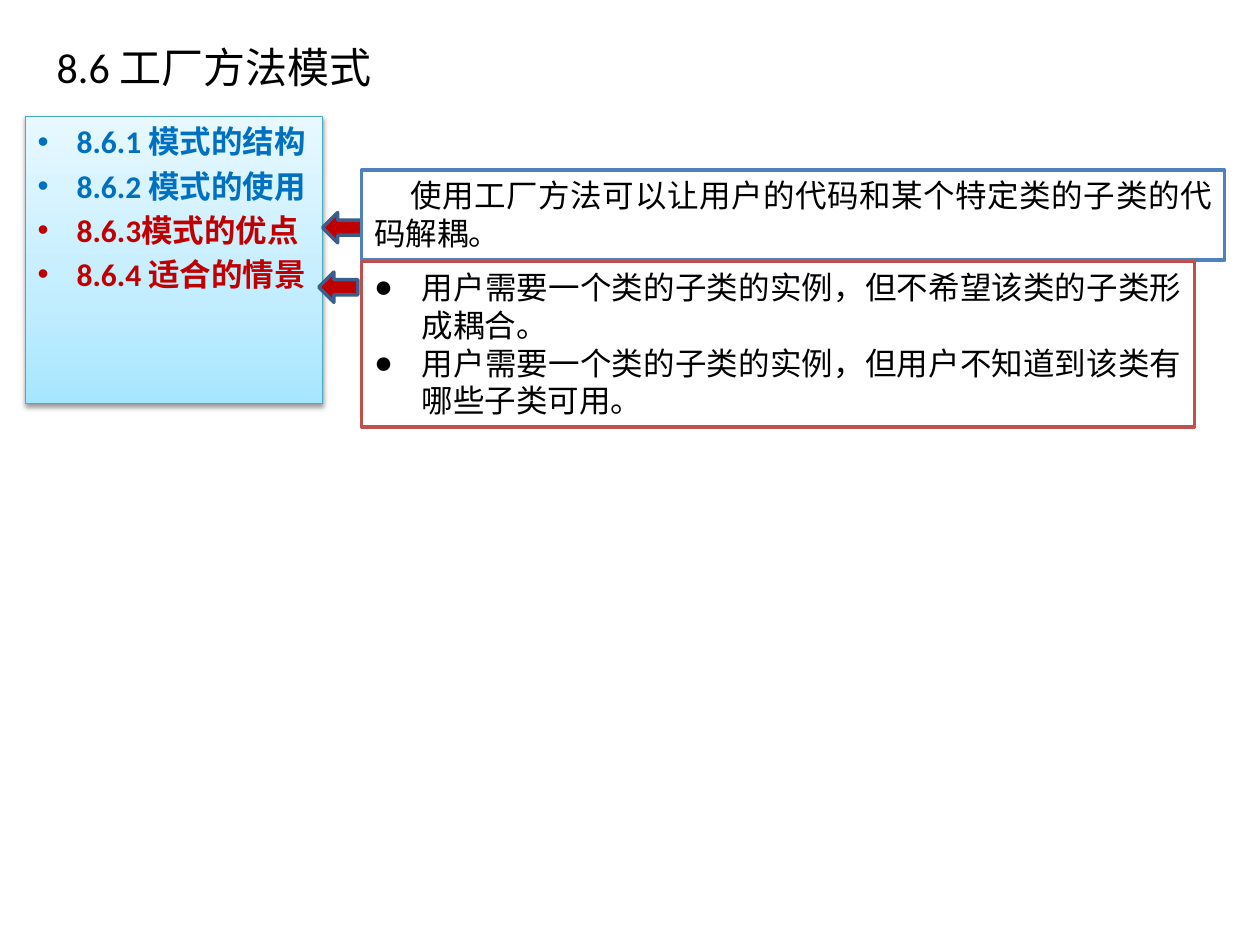
from copy import deepcopy

from pptx import Presentation
from pptx import util as u
from pptx.dml.color import RGBColor
from pptx.enum import shapes, text
from pptx.oxml.ns import qn
from lxml import etree

WIDTH, HEIGHT = 10, 7.5
COLORS = {
    "black": "000000", "white": "FFFFFF", "topic blue": "0070C0", "topic red": "C00000",
    "arrow line": "3A5F8C", "blue line": "4F81BD", "red line": "C0504D", "panel line": "46AAC5",
}
PANEL_GRADIENT = [(0, "A7E6FF"), (0.35, "C1EDFF"), (1, "E7F8FF")]
TOPICS = [
    ("8.6.1 模式的结构", "topic blue"), ("8.6.2 模式的使用", "topic blue"),
    ("8.6.3模式的优点", "topic red"), ("8.6.4 适合的情景", "topic red"),
]
ADVANTAGE = "使用工厂方法可以让用户的代码和某个特定类的子类的代码解耦。"
SITUATIONS = [
    "用户需要一个类的子类的实例，但不希望该类的子类形成耦合。",
    "用户需要一个类的子类的实例，但用户不知道到该类有哪些子类可用。",
]
# Boxes as left, top, width, height in shares of the slide
TITLE_BOX = (0.035, 0.027, 0.307, 0.077)
PANEL_BOX = (0.02, 0.123, 0.236, 0.304)
ADVANTAGE_BOX = (0.287, 0.18, 0.685, 0.095)
SITUATION_BOX = (0.287, 0.277, 0.661, 0.175)
ARROW_BOXES = [(0.256, 0.225, 0.031, 0.032), (0.253, 0.288, 0.031, 0.032)]


def rgb(name):
    return RGBColor.from_string(COLORS[name])


def place(box):
    left, top, width, height = box
    return [u.Inches(share * side) for share, side in
            zip((left, top, width, height), (WIDTH, HEIGHT) * 2)]


def add_block(slide, kind, box, line, weight, fill="white"):
    shape = slide.shapes.add_shape(kind, *place(box))
    shape.shadow.inherit = False
    shape.fill.solid()
    shape.fill.fore_color.rgb = rgb(fill)
    shape.line.color.rgb = rgb(line)
    shape.line.width = u.Pt(weight)
    shape.text_frame.word_wrap = True
    shape.text_frame.vertical_anchor = text.MSO_ANCHOR.TOP
    return shape


def set_indent(paragraph, margin, first, bullet=None, tab=None):
    properties = paragraph._p.get_or_add_pPr()
    properties.set("marL", str(u.Inches(margin)))
    properties.set("indent", str(u.Inches(first)))
    if bullet:
        etree.SubElement(properties, qn("a:buFont")).set("typeface", "Arial")
        etree.SubElement(properties, qn("a:buChar")).set("char", bullet)
    if tab:
        tabs = etree.SubElement(properties, qn("a:tabLst"))
        stop = etree.SubElement(tabs, qn("a:tab"))
        stop.set("pos", str(u.Inches(tab)))
        stop.set("algn", "l")


def set_font(paragraph, size=18, name="Calibri", color="black", bold=False):
    font = paragraph.font
    font.size, font.name, font.bold = u.Pt(size), name, bold
    font.color.rgb = rgb(color)


def add_paragraphs(shape, lines):
    frame = shape.text_frame
    for index, line in enumerate(lines):
        paragraph = frame.add_paragraph() if index else frame.paragraphs[0]
        paragraph.text = line
        yield paragraph


def add_title(slide, box):
    title = slide.shapes.title
    title.left, title.top, title.width, title.height = place(box)
    frame = title.text_frame
    frame.text = "8.6 工厂方法模式"
    frame.vertical_anchor = text.MSO_ANCHOR.BOTTOM
    frame.auto_size = text.MSO_AUTO_SIZE.NONE
    frame.paragraphs[0].alignment = text.PP_ALIGN.LEFT
    set_font(frame.paragraphs[0], size=24)


def style_panel(panel):
    # Three-stop gradient, lightest at the top
    panel.fill.gradient()
    panel.fill.gradient_angle = 90
    stop_list = panel._element.spPr.find(".//" + qn("a:gsLst"))
    stop_list.append(deepcopy(stop_list[-1]))
    for stop, element, (position, color) in zip(
            panel.fill.gradient_stops, stop_list, PANEL_GRADIENT):
        stop.color.rgb = RGBColor.from_string(color)
        element.set("pos", str(int(position * 100000)))
    # Soft shadow below
    effects = panel._element.spPr.find(qn("a:effectLst"))
    shadow = etree.SubElement(effects, qn("a:outerShdw"), blurRad=str(u.Pt(3.1)),
                              dist=str(u.Pt(1.6)), dir="5400000", rotWithShape="0")
    color = etree.SubElement(shadow, qn("a:srgbClr"), val=COLORS["black"])
    etree.SubElement(color, qn("a:alpha"), val="38000")


def add_topic_panel(slide, box):
    panel = add_block(slide, shapes.MSO_SHAPE.RECTANGLE, box, "panel line", 0.75)
    style_panel(panel)
    lines = [line for line, _ in TOPICS]
    for index, paragraph in enumerate(add_paragraphs(panel, lines)):
        paragraph.alignment = text.PP_ALIGN.LEFT
        paragraph.space_before = u.Pt(3.6 if index else 0)
        set_indent(paragraph, 0.31, -0.31, "•")
        set_font(paragraph, color=TOPICS[index][1], bold=True)


def add_advantage(slide, box):
    shape = add_block(slide, shapes.MSO_SHAPE.RECTANGLE, box, "blue line", 2)
    for paragraph in add_paragraphs(shape, [ADVANTAGE]):
        paragraph.alignment = text.PP_ALIGN.JUSTIFY
        set_indent(paragraph, 0, 0.29)
        set_font(paragraph)


def add_situations(slide, box):
    shape = add_block(slide, shapes.MSO_SHAPE.RECTANGLE, box, "red line", 2)
    for paragraph in add_paragraphs(shape, SITUATIONS):
        paragraph.alignment = text.PP_ALIGN.JUSTIFY
        set_indent(paragraph, 0.38, -0.38, "●", tab=0.58)
        set_font(paragraph, name="Times New Roman")


def add_arrow(slide, box):
    add_block(slide, shapes.MSO_SHAPE.LEFT_ARROW, box, "arrow line", 2, "topic red")


def main():
    presentation = Presentation()
    presentation.slide_width = u.Inches(WIDTH)
    presentation.slide_height = u.Inches(HEIGHT)
    slide = presentation.slides.add_slide(presentation.slide_layouts[5])
    add_title(slide, TITLE_BOX)
    add_topic_panel(slide, PANEL_BOX)
    # Each explanation points back to its topic
    add_arrow(slide, ARROW_BOXES[0])
    add_advantage(slide, ADVANTAGE_BOX)
    add_arrow(slide, ARROW_BOXES[1])
    add_situations(slide, SITUATION_BOX)
    presentation.save("out.pptx")


if __name__ == "__main__":
    main()
